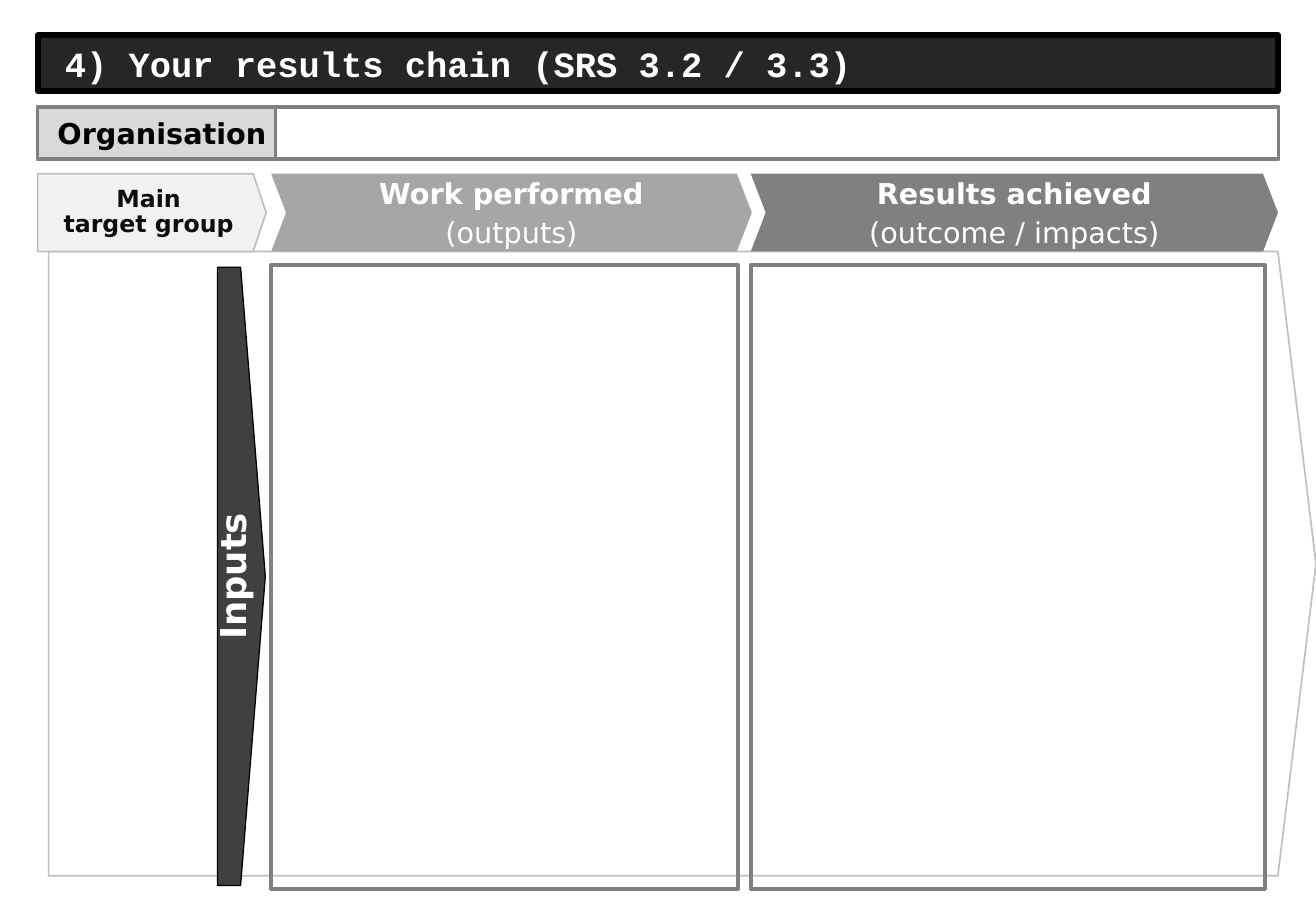
from dataclasses import dataclass
from pptx import Presentation
from pptx.dml.color import RGBColor
from pptx.enum.shapes import MSO_SHAPE
from pptx.enum.text import MSO_ANCHOR, PP_ALIGN
from pptx.util import Pt


@dataclass(frozen=True)
class Theme:
    black: str = "000000"
    coal: str = "262626"
    dark: str = "404040"
    ink: str = "0D0D0D"
    grey: str = "808080"
    mid: str = "A6A6A6"
    edge: str = "BFBFBF"
    pale: str = "D9D9D9"
    light: str = "F2F2F2"
    white: str = "FFFFFF"
    sans: str = "DejaVu Sans"
    mono: str = "Courier New"
    large: float = 21
    base: float = 17
    small: float = 14


THEME = Theme()
LEFT, WORK, RESULT = 22.3, 160.7, 445
HEAD, BODY = 103, 157


def apply(target, values):
    for name, value in values.items():
        setattr(target, name, value)


def draw(slide, kind, box, fill=None, line=None, width=1, point=None):
    shape = slide.shapes.add_shape(kind, *map(Pt, box))
    shape.shadow.inherit = False
    if point is not None:
        shape.adjustments[0] = point
    if fill:
        shape.fill.solid()
        shape.fill.fore_color.rgb = RGBColor.from_string(fill)
    else:
        shape.fill.background()
    if line:
        shape.line.color.rgb = RGBColor.from_string(line)
        shape.line.width = Pt(width)
    else:
        shape.line.fill.background()
    return shape


def write(shape, lines, size, color, font=THEME.sans, inset=(1.4, 1.4, 1.4, 1.4),
          align=PP_ALIGN.CENTER, after=0, lead=1):
    frame = shape.text_frame
    sides = ("left", "top", "right", "bottom")
    margins = {f"margin_{side}": Pt(gap) for side, gap in zip(sides, inset)}
    apply(frame, {"word_wrap": True, "vertical_anchor": MSO_ANCHOR.MIDDLE, **margins})
    for index, (text, bold) in enumerate(lines):
        para = frame.add_paragraph() if index else frame.paragraphs[0]
        apply(para, {"alignment": align, "space_after": Pt(after), "line_spacing": lead})
        run = para.add_run()
        run.text = text
        apply(run.font, {"name": font, "size": Pt(size), "bold": bold})
        run.font.color.rgb = RGBColor.from_string(color)


def add_title(slide):
    bar = draw(slide, MSO_SHAPE.RECTANGLE, (LEFT, 20.9, 735.1, 33.1),
               THEME.coal, THEME.black, 3.5)
    write(bar, [("4) Your results chain (SRS 3.2 / 3.3)", True)], THEME.large,
          THEME.white, THEME.mono, (16.2, 1.4, 3.6, 1.4), PP_ALIGN.LEFT)


def add_stage(slide, left, width, fill, title, note):
    stage = draw(slide, MSO_SHAPE.CHEVRON, (left, HEAD, width, 46.1), fill, point=0.192)
    write(stage, [(title, True), (note, False)], THEME.base, THEME.white, after=2.8)


def add_panel(slide, left, width):
    draw(slide, MSO_SHAPE.RECTANGLE, (left, BODY, width, 370), None, THEME.grey, 2.25)


def add_group(slide):
    group = draw(slide, MSO_SHAPE.PENTAGON, (LEFT, HEAD, 135.4, 46.1),
                 THEME.light, THEME.edge, point=0.166)
    write(group, [("Main", True), ("target group", True)], THEME.small,
          THEME.ink, after=0.9, lead=0.85)


def add_inputs(slide):
    arrow = draw(slide, MSO_SHAPE.PENTAGON, (129, 158.4, 28.3, 366.5),
                 THEME.dark, THEME.black, 0.75, 0.518)
    write(arrow, [("Inputs", True)], THEME.large, THEME.white,
          inset=(0, 0, 0, 0), after=2, lead=0.85)
    arrow.element.txBody.bodyPr.set("vert", "vert270")


def add_field(slide):
    top, high, split, right = 63.2, 31.2, 163.3, 757.8
    label = draw(slide, MSO_SHAPE.RECTANGLE, (LEFT, top, split - LEFT, high),
                 THEME.pale, THEME.grey, 2.25)
    write(label, [("Organisation", True)], THEME.base, THEME.black,
          inset=(6.5, 1.4, 0, 1.4))
    draw(slide, MSO_SHAPE.RECTANGLE, (split, top, right - split, high),
         THEME.white, THEME.grey, 2.25)


def main():
    deck = Presentation()
    apply(deck, {"slide_width": Pt(780), "slide_height": Pt(540)})
    slide = deck.slides.add_slide(deck.slide_layouts[6])
    add_title(slide)
    draw(slide, MSO_SHAPE.PENTAGON, (28.8, 149.1, 751.2, 370),
         THEME.white, THEME.edge, point=0.061)
    add_stage(slide, WORK, 284.9, THEME.mid, "Work performed", "(outputs)")
    add_stage(slide, RESULT, 312.5, THEME.grey, "Results achieved", "(outcome / impacts)")
    add_panel(slide, WORK, 276.8)
    add_group(slide)
    add_panel(slide, RESULT, 304.6)
    add_inputs(slide)
    add_field(slide)
    deck.save("out.pptx")


if __name__ == "__main__":
    main()
